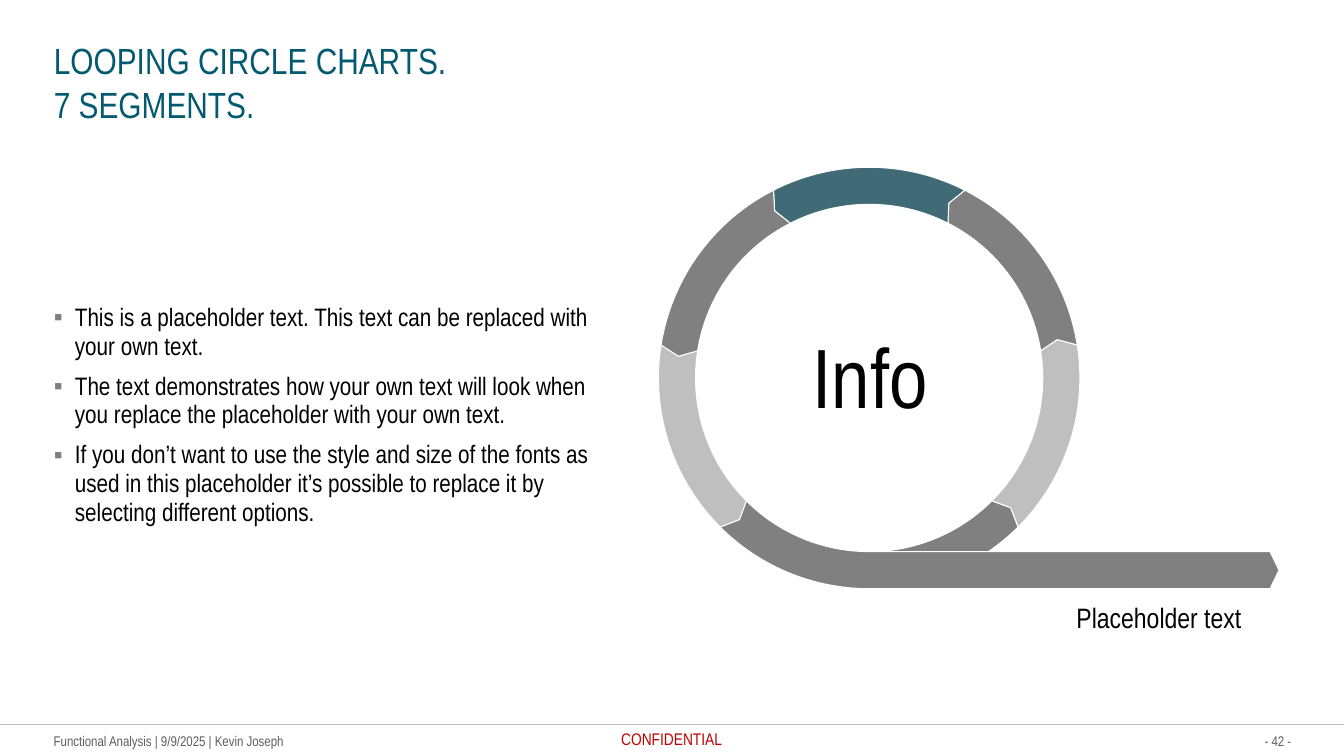
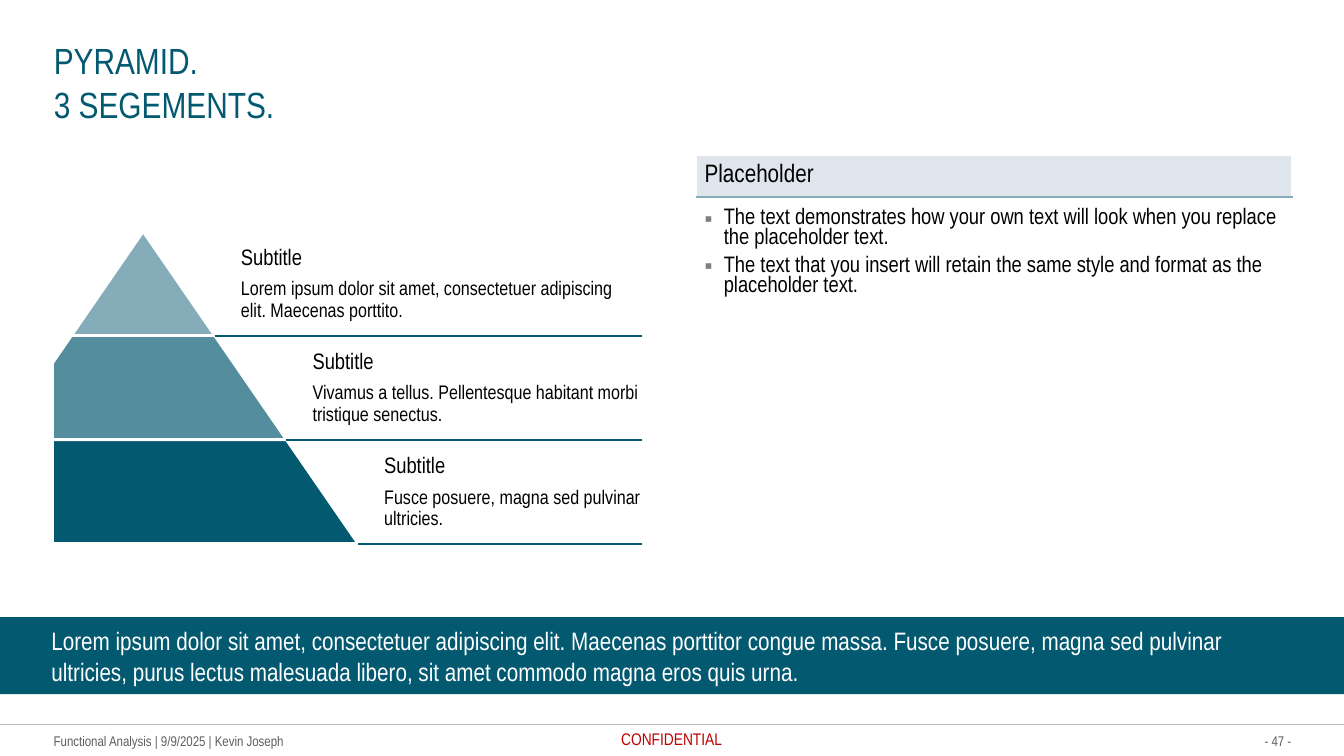
from math import cos, radians, sin, tan

from lxml import etree
from pptx import Presentation
from pptx import util as u
from pptx.dml.color import RGBColor
from pptx.enum import shapes, text
from pptx.oxml.ns import qn

W, H = 40 / 3, 7.5
COL, ROW = W / 100, H / 100
LEFT, CONTENT_W = 4 * COL, 92.1 * COL
FONT = "Arial Narrow"

TEAL = RGBColor(0x03, 0x59, 0x70)
MID_TEAL = RGBColor(0x54, 0x8D, 0x9E)
LIGHT_TEAL = RGBColor(0x85, 0xAC, 0xB9)
SLATE = RGBColor(0x3F, 0x6A, 0x76)
HEADER_BLUE = RGBColor(0xDE, 0xE5, 0xEC)
GREY = RGBColor(0x80, 0x80, 0x80)
BULLET_GREY = RGBColor(0x7F, 0x7F, 0x7F)
SILVER = RGBColor(0xBF, 0xBF, 0xBF)
FOOTER_GREY = RGBColor(0x5E, 0x5E, 0x5E)
RED = RGBColor(0xC0, 0x00, 0x00)
BLACK = RGBColor(0, 0, 0)
WHITE = RGBColor(0xFF, 0xFF, 0xFF)

LEFT_ALIGN, CENTER, RIGHT = text.PP_ALIGN.LEFT, text.PP_ALIGN.CENTER, text.PP_ALIGN.RIGHT
TOP, MIDDLE, BOTTOM = text.MSO_ANCHOR.TOP, text.MSO_ANCHOR.MIDDLE, text.MSO_ANCHOR.BOTTOM


def write(frame, lines, colour=BLACK, align=LEFT_ALIGN, anchor=TOP,
          spacing=1.0, bullet_indent=0, inset=(0, 0), wrap=True):
    """Fill a frame with lines of (words, size, space after); a newline is a line break."""
    frame.word_wrap = wrap
    frame.auto_size = text.MSO_AUTO_SIZE.NONE
    frame.vertical_anchor = anchor
    frame.margin_left = frame.margin_right = u.Inches(inset[0])
    frame.margin_top = frame.margin_bottom = u.Inches(inset[1])
    for number, (words, size, after) in enumerate(lines):
        para = frame.add_paragraph() if number else frame.paragraphs[0]
        para.alignment = align
        para.line_spacing = spacing
        para.space_before, para.space_after = u.Pt(0), u.Pt(after)
        if bullet_indent:
            props = para._p.get_or_add_pPr()
            props.set("marL", str(u.Inches(bullet_indent)))
            props.set("indent", str(-u.Inches(bullet_indent)))
            tint = etree.SubElement(props, qn("a:buClr"))
            etree.SubElement(tint, qn("a:srgbClr")).set("val", str(BULLET_GREY))
            etree.SubElement(props, qn("a:buFont")).set("typeface", "Arial")
            etree.SubElement(props, qn("a:buChar")).set("char", "▪")
        for part_number, part in enumerate(words.split("\n")):
            if part_number:
                para.add_line_break()
            span = para.add_run()
            span.text = part
            span.font.name, span.font.size = FONT, u.Pt(size)
            span.font.color.rgb = colour


def add_outline(page, start, steps, fill, line_width):
    """Draw a closed, white-edged outline; a step holds one point, or three for a curve."""
    builder = page.shapes.build_freeform(*map(u.Inches, start))
    builder.add_line_segments(
        [(u.Inches(x), u.Inches(y)) for step in steps for x, y in step], close=True)
    shape = builder.convert_to_shape()
    nodes = iter(list(shape._element.iter(qn("a:lnTo"))))
    for step in steps:
        node, *others = [next(nodes) for _ in step]
        if others:
            node.tag = qn("a:cubicBezTo")
        for other in others:
            node.append(other[0])
            other.getparent().remove(other)
    shape.shadow.inherit = False
    shape.fill.solid()
    shape.fill.fore_color.rgb = fill
    shape.line.color.rgb = WHITE
    shape.line.width = u.Pt(line_width)


deck = Presentation()
deck.slide_width, deck.slide_height = u.Inches(W), u.Inches(H)
loop_page = deck.slides.add_slide(deck.slide_layouts[1])
pyramid_page = deck.slides.add_slide(deck.slide_layouts[5])

# Page None stands for the slide master
FOOTER_Y, FOOTER_H = 96.93 * ROW, 2.27 * ROW
rules = [(None, 0, W, 95.87 * ROW, SILVER, 1)]  # page, start x, end x, y, colour, width
labels = [  # page, area, lines, text settings
    (None, (LEFT, FOOTER_Y, 18.98 * COL, FOOTER_H),
     [("Functional Analysis | 9/9/2025 | Kevin Joseph", 10, 0)],
     dict(colour=FOOTER_GREY, anchor=MIDDLE, wrap=False)),
    (None, (46.22 * COL, 96.4 * ROW, 7.8 * COL, 2.67 * ROW),
     [("CONFIDENTIAL", 12, 0)], dict(colour=RED, wrap=False)),
]

# Titles and page numbers
for page, title, title_h, page_number in (
        (loop_page, "LOOPING CIRCLE CHARTS.\n7 SEGMENTS.", 5.47 * ROW, 42),
        (pyramid_page, "PYRAMID.\n3 SEGEMENTS.", 11.73 * ROW, 47)):
    box = page.shapes.title
    box.left, box.top, box.width, box.height = map(
        u.Inches, (LEFT, 5.07 * ROW, CONTENT_W, title_h))
    write(box.text_frame, [(title, 26, 0)], TEAL)
    labels.append((page, (93.68 * COL, FOOTER_Y, 2.4 * COL, FOOTER_H),
                   [(f"- {page_number} -", 10, 0)],
                   dict(colour=FOOTER_GREY, anchor=MIDDLE, align=RIGHT, wrap=False)))

# Looping circle: angles run clockwise from the top, in degrees
CENTER_X, CENTER_Y = 64.67 * COL, 50 * ROW
OUTER, MIDDLE_R, INNER = 27.87 * ROW, 25.4 * ROW, 22.97 * ROW
TIP_LEAD = 2.5
ARROW_END, ARROW_TIP = 94.5 * COL, 95.17 * COL
segments = ((135, 180, GREY), (180, 225, GREY), (225, 279, SILVER), (81, 135, SILVER),
            (27, 81, GREY), (333, 387, SLATE), (279, 333, GREY))
for start, end, fill in segments:
    middle = (start + end) / 2
    track = []  # groups of radius, angle, offset along the tangent
    for radius, angles in ((OUTER, (start, middle, end)), (INNER, (end, middle, start))):
        if radius == INNER:
            if end != 180:
                track.append([(MIDDLE_R, end - TIP_LEAD, 0)])
            track.append([(INNER, end, 0)])
        for begin, stop in zip(angles, angles[1:]):
            handle = radius * 4 / 3 * tan(radians(stop - begin) / 4)
            track.append([(radius, begin, handle), (radius, stop, -handle), (radius, stop, 0)])
    if start != 180:
        track.append([(MIDDLE_R, start - TIP_LEAD, 0)])
    steps = [[(CENTER_X + radius * sin(radians(angle)) + offset * cos(radians(angle)),
               CENTER_Y - radius * cos(radians(angle)) + offset * sin(radians(angle)))
              for radius, angle, offset in group] for group in track]
    if start == 180:
        steps += [[(ARROW_END, CENTER_Y + INNER)],
                  [(ARROW_TIP, CENTER_Y + (INNER + OUTER) / 2)],
                  [(ARROW_END, CENTER_Y + OUTER)]]
    first = (CENTER_X + OUTER * sin(radians(start)), CENTER_Y - OUTER * cos(radians(start)))
    add_outline(loop_page, first, steps, fill, 0.75)

labels += [
    (loop_page, (59.5 * COL, 42.93 * ROW, 10.5 * COL, 13.47 * ROW),
     [("Info", 60, 0)], dict(align=CENTER)),
    (loop_page, (80.1 * COL, 79.4 * ROW, 12.75 * COL, 4.53 * ROW),
     [("Placeholder text", 20, 0)], dict(wrap=False)),
]

body = loop_page.placeholders[1]
body.left, body.top, body.width, body.height = map(
    u.Inches, (LEFT, 20.53 * ROW, 40.6 * COL, 68.8 * ROW))
write(body.text_frame, [
    ("This is a placeholder text. This text can be replaced with your own text.", 18, 8),
    ("The text demonstrates how your own text will look when you replace the "
     "placeholder with your own text.", 18, 8),
    ("If you don’t want to use the style and size of the fonts as used in this placeholder "
     "it’s possible to replace it by selecting different options.", 18, 8),
], anchor=MIDDLE, spacing=0.95, bullet_indent=0.21)

# Pyramid, cut off at the left margin
APEX_X, APEX_Y = 10.65 * COL, 30.63 * ROW
HALF_STEP, LAYER_H = 5.33 * COL, 13.76 * ROW
CUT_X, RULE_END = 3.9 * COL, 47.79 * COL
layers = (
    (LIGHT_TEAL, "Lorem ipsum dolor sit amet, consectetuer adipiscing elit. Maecenas porttito."),
    (MID_TEAL, "Vivamus a tellus. Pellentesque habitant morbi tristique senectus."),
    (TEAL, "Fusce posuere, magna sed pulvinar ultricies."),
)
for level, (fill, words) in enumerate(layers):
    top, bottom = APEX_Y + level * LAYER_H, APEX_Y + (level + 1) * LAYER_H
    top_half, bottom_half = level * HALF_STEP, (level + 1) * HALF_STEP
    steps = [[(APEX_X + top_half, top)], [(APEX_X + bottom_half, bottom)],
             [(max(CUT_X, APEX_X - bottom_half), bottom)]]
    if top_half < APEX_X - CUT_X < bottom_half:
        steps.append([(CUT_X, APEX_Y + (APEX_X - CUT_X) / HALF_STEP * LAYER_H)])
    add_outline(pyramid_page, (max(CUT_X, APEX_X - top_half), top), steps, fill, 2)
    rules.append((pyramid_page, APEX_X + bottom_half, RULE_END, bottom, TEAL, 1.5))
    text_x = APEX_X + bottom_half + 1.95 * COL
    labels.append((pyramid_page, (text_x, top, RULE_END - text_x, LAYER_H),
                   [("Subtitle", 16, 6), (words, 14, 0)],
                   dict(anchor=MIDDLE, spacing=0.93)))

# Summary band
band = pyramid_page.shapes.add_shape(
    shapes.MSO_SHAPE.RECTANGLE, *map(u.Inches, (0, 81.63 * ROW, W, 10.2 * ROW)))
band.shadow.inherit = False
band.fill.solid()
band.fill.fore_color.rgb = TEAL
band.line.fill.background()
write(band.text_frame, [
    ("Lorem ipsum dolor sit amet, consectetuer adipiscing elit. Maecenas porttitor congue "
     "massa. Fusce posuere, magna sed pulvinar ultricies, purus lectus malesuada libero, "
     "sit amet commodo magna eros quis urna.", 18, 0),
], WHITE, anchor=BOTTOM, inset=(0.51, 0.08))

# Table
table = pyramid_page.shapes.add_table(
    2, 1, *map(u.Inches, (51.83 * COL, 20.6 * ROW, 44.3 * COL, 11 * ROW))).table
table.first_row = table.horz_banding = False
header, details = table.cell(0, 0), table.cell(1, 0)
write(header.text_frame, [("Placeholder", 18, 0)])
write(details.text_frame, [
    ("The text demonstrates how your own text will look when you replace "
     "the placeholder text.", 16, 6),
    ("The text that you insert will retain the same style and format as the "
     "placeholder text.", 16, 6),
], spacing=0.93, bullet_indent=0.19)
header.fill.solid()
header.fill.fore_color.rgb = HEADER_BLUE
details.fill.background()
for cell, edge, anchor, top_margin in ((header, "a:lnB", MIDDLE, 0.04),
                                       (details, "a:lnT", TOP, 0.12)):
    cell.vertical_anchor = anchor
    cell.margin_left = cell.margin_right = u.Inches(0.08)
    cell.margin_top, cell.margin_bottom = u.Inches(top_margin), u.Inches(0.04)
    border = etree.Element(qn(edge), w=str(u.Pt(1.5)))
    paint = etree.SubElement(border, qn("a:solidFill"))
    etree.SubElement(paint, qn("a:srgbClr")).set("val", str(LIGHT_TEAL))
    cell._tc.get_or_add_tcPr().insert(0, border)

shared = []
for page, start_x, end_x, y, colour, width in rules:
    rule = (page or loop_page).shapes.add_connector(
        shapes.MSO_CONNECTOR.STRAIGHT, *map(u.Inches, (start_x, y, end_x, y)))
    rule.line.color.rgb = colour
    rule.line.width = u.Pt(width)
    etree.SubElement(rule._element.spPr, qn("a:effectLst"))
    if page is None:
        shared.append(rule._element)

for page, area, lines, settings in labels:
    box = (page or loop_page).shapes.add_textbox(*map(u.Inches, area))
    write(box.text_frame, lines, **settings)
    if page is None:
        shared.append(box._element)

for number, element in enumerate(shared, 20):
    element.xpath(".//p:cNvPr")[0].set("id", str(number))
    deck.slide_master.shapes._spTree.append(element)

deck.save("out.pptx")
